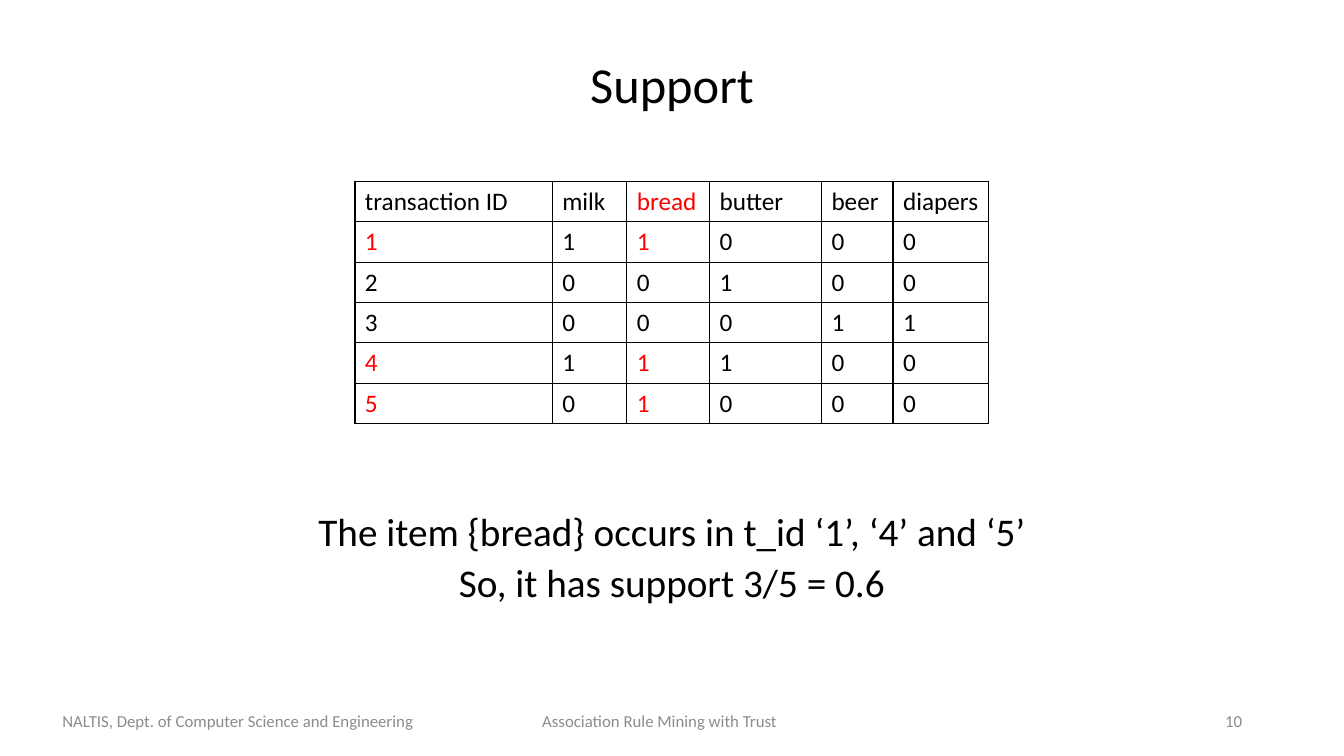
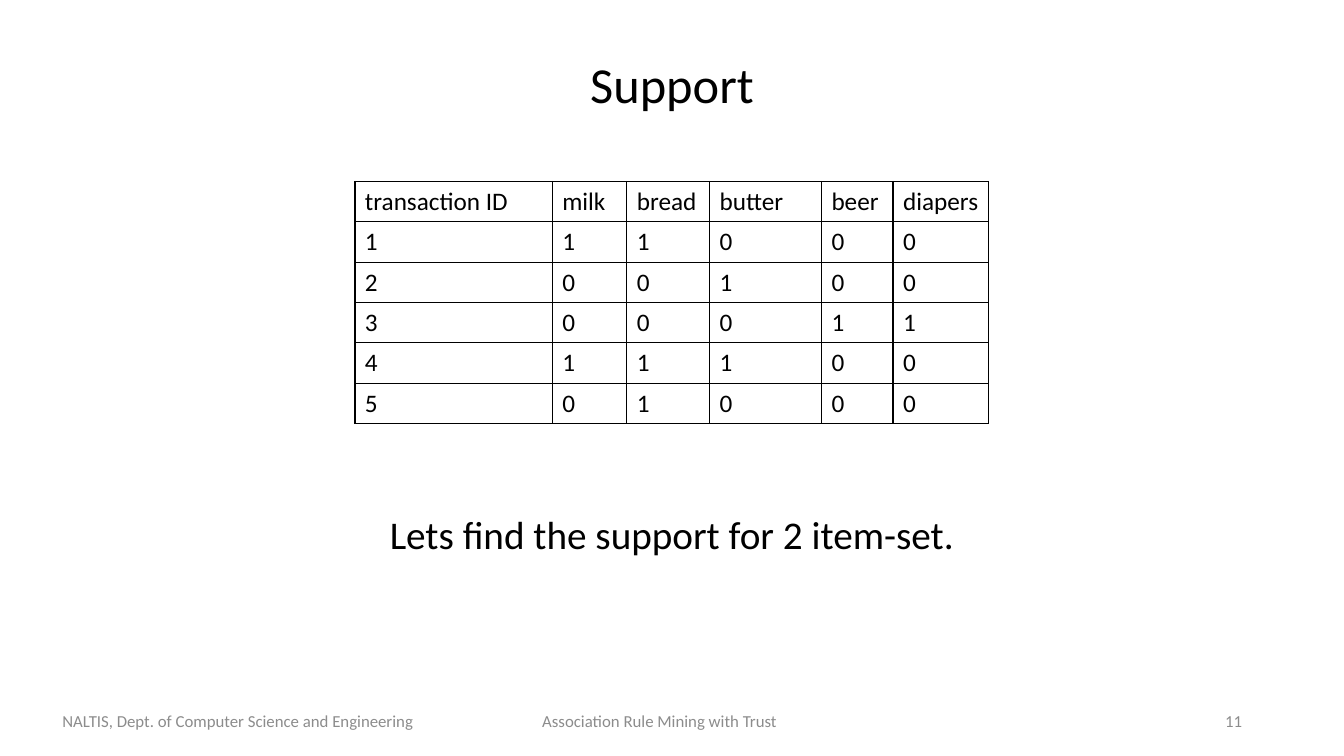
import pptx
import pptx.dml.color
import pptx.enum.text
import pptx.oxml
import pptx.oxml.ns
import pptx.util

INK = {"text": "000000", "mark": "FF0000", "foot": "8C8C8C"}
ALIGN = pptx.enum.text.PP_ALIGN
ANCHOR = pptx.enum.text.MSO_ANCHOR
NS = pptx.oxml.ns.nsdecls("a")

ITEMS = ["milk", "bread", "butter", "beer", "diapers"]
BUYS = ["11000", "00100", "00011", "11100", "01000"]
ROWS = [["transaction ID", *ITEMS]] + [
    [str(num), *bits] for num, bits in enumerate(BUYS, 1)
]
WIDTHS = [9.4, 3.55, 3.94, 5.33, 3.41, 4.56]
FOOT = "NALTIS, Dept. of Computer Science and Engineering\tAssociation Rule Mining with Trust"


class Deck:
    COLS, LINES = 64, 36
    FONT = "Calibri"

    def __init__(self):
        self.file = pptx.Presentation()
        self.file.slide_width = pptx.util.Inches(13.33)
        self.file.slide_height = pptx.util.Inches(7.5)
        self.slide = None

    def x(self, cols):
        return round(self.file.slide_width * cols / self.COLS)

    def y(self, rows):
        return round(self.file.slide_height * rows / self.LINES)

    def run(self, para, text, size, ink="text"):
        run = para.add_run()
        run.text = text
        run.font.name = self.FONT
        run.font.size = pptx.util.Pt(size)
        run.font.color.rgb = pptx.dml.color.RGBColor.from_string(INK[ink])

    def text(self, box, lines, size, ink="text", align=ALIGN.LEFT,
             anchor=ANCHOR.MIDDLE, space=None, before=None):
        left, top, width, height = box
        shape = self.slide.shapes.add_textbox(
            self.x(left), self.y(top), self.x(width), self.y(height))
        frame = shape.text_frame
        frame.word_wrap = True
        frame.vertical_anchor = anchor
        for num, line in enumerate(lines):
            para = frame.add_paragraph() if num else frame.paragraphs[0]
            para.alignment = align
            if space:
                para.line_spacing = space
            if before:
                para.space_before = pptx.util.Pt(before)
            self.run(para, line, size, ink)
        return frame

    def footer(self, page):
        frame = self.text((2.5, 33.36, 59.04, 1.92), [FOOT], 12, "foot")
        tabs = pptx.oxml.parse_xml(
            f'<a:tabLst {NS}><a:tab pos="{self.x(22.85)}" algn="l"/></a:tabLst>')
        frame.paragraphs[0]._p.get_or_add_pPr().append(tabs)
        self.text((45.22, 33.36, 14.4, 1.92), [str(page)], 12, "foot", ALIGN.RIGHT)

    def title(self, text):
        self.text((0, 1.3, 64, 5.66), [text], 36, align=ALIGN.CENTER, space=0.9)

    def caption(self, lines, space):
        self.text((1.1, 24.34, 61.78, 4.75), lines, 28, align=ALIGN.CENTER,
                  anchor=ANCHOR.TOP, space=space, before=10)

    def border(self, cell):
        props = cell._tc.get_or_add_tcPr()
        for side in "LRTB":
            props.append(pptx.oxml.parse_xml(
                f'<a:ln{side} {NS} w="{pptx.util.Pt(1)}"><a:solidFill>'
                f'<a:srgbClr val="{INK["text"]}"/></a:solidFill></a:ln{side}>'))

    def table(self, left, top, widths, high, rows, item=None):
        table = self.slide.shapes.add_table(
            len(rows), len(widths), self.x(left), self.y(top),
            self.x(sum(widths)), self.y(high * len(rows))).table
        table.first_row = table.horz_banding = False
        for col, width in zip(table.columns, widths):
            col.width = self.x(width)
        pick = rows[0].index(item) if item else None
        for i, row in enumerate(rows):
            table.rows[i].height = self.y(high)
            hit = pick is not None and row[pick] == "1"
            for j, text in enumerate(row):
                cell = table.cell(i, j)
                self.border(cell)
                cell.fill.background()
                cell.vertical_anchor = ANCHOR.MIDDLE
                mark = (hit and j in (0, pick)) or (i == 0 and j == pick)
                self.run(cell.text_frame.paragraphs[0], text, 18,
                         "mark" if mark else "text")

    def page(self, num, lines, space, item=None):
        self.slide = self.file.slides.add_slide(self.file.slide_layouts[6])
        self.footer(num)
        self.title("Support")
        self.table(16.9, 8.64, WIDTHS, 1.92, ROWS, item)
        self.caption(lines, space)


def main():
    deck = Deck()
    deck.page(10, ["The item {bread} occurs in t_id ‘1’, ‘4’ and ‘5’",
                   "So, it has support 3/5 = 0.6"], 0.8, "bread")
    deck.page(11, ["Lets find the support for 2 item-set."], 0.9)
    deck.file.save("out.pptx")


if __name__ == "__main__":
    main()
